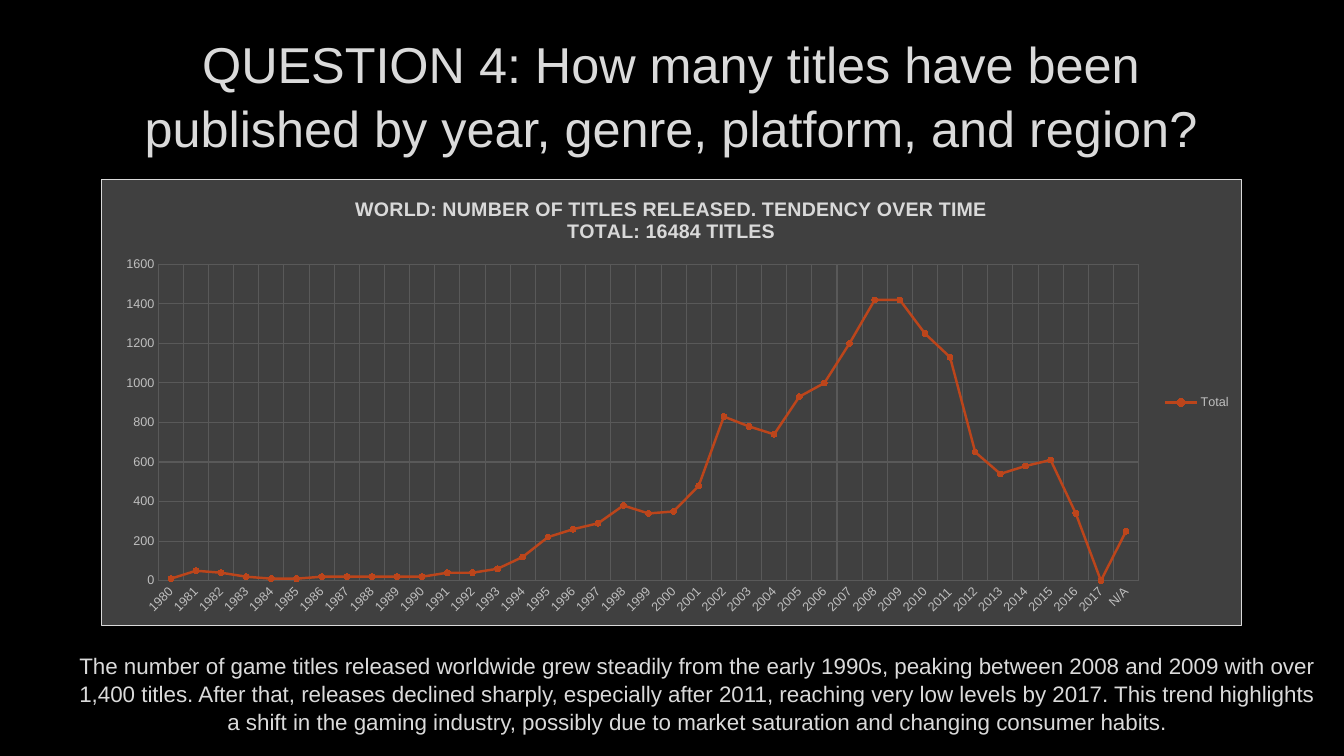
from lxml import etree
from pptx import Presentation
from pptx.chart.data import CategoryChartData
from pptx.dml.color import RGBColor
from pptx.enum.chart import (XL_CHART_TYPE, XL_LEGEND_POSITION,
                             XL_MARKER_STYLE, XL_TICK_MARK)
from pptx.enum.text import MSO_ANCHOR, MSO_AUTO_SIZE, PP_ALIGN
from pptx.oxml import parse_xml
from pptx.oxml.ns import nsdecls, qn
from pptx.util import Pt

COLORS = {"back": "000000", "text": "DADADA", "panel": "404040",
          "border": "D9D9D9", "grid": "595959", "label": "BFBFBF",
          "line": "BC451B"}
FONT = "Arial"

TITLE = ("QUESTION 4: How many titles have been published by year, genre, "
         "platform, and region?")
CHART_TITLE = ("WORLD: NUMBER OF TITLES RELEASED. TENDENCY OVER TIME\n"
               "TOTAL: 16484 TITLES")
SUMMARY = ("The number of game titles released worldwide grew steadily from the "
           "early 1990s, peaking between 2008 and 2009 with over 1,400 titles. "
           "After that, releases declined sharply, especially after 2011, "
           "reaching very low levels by 2017. This trend highlights a shift in "
           "the gaming industry, possibly due to market saturation and changing "
           "consumer habits.")
YEARS = [str(year) for year in range(1980, 2018)] + ["N/A"]
RELEASES = [10, 50, 40, 20, 10, 10, 20, 20, 20, 20,
            20, 40, 40, 60, 120, 220, 260, 290, 380, 340,
            350, 480, 830, 780, 740, 930, 1000, 1200, 1420, 1420,
            1250, 1130, 650, 540, 580, 610, 340, 0, 250]


def rgb(name):
    return RGBColor.from_string(COLORS[name])


class SlideBuilder:
    def __init__(self, prs):
        self.slide = prs.slides.add_slide(prs.slide_layouts[5])
        fill = self.slide.background.fill
        fill.solid()
        fill.fore_color.rgb = rgb("back")

    def style_font(self, font, size, color, bold=False):
        font.name, font.size, font.bold = FONT, Pt(size), bold
        font.color.rgb = rgb(color)

    def fill_text(self, sp, text, size, anchor):
        """Fill a shape with centred text that has a faint outline."""
        tf = sp.text_frame
        tf.text = text
        tf.word_wrap = True
        tf.auto_size = MSO_AUTO_SIZE.NONE
        tf.vertical_anchor = anchor
        p = tf.paragraphs[0]
        p.alignment = PP_ALIGN.CENTER
        p.line_spacing = 1.05
        r = p.runs[0]
        self.style_font(r.font, size, "text")
        r.font._element.insert(0, parse_xml(
            f'<a:ln {nsdecls("a")} w="9525"><a:solidFill>'
            f'<a:srgbClr val="{COLORS["panel"]}"><a:alpha val="10000"/>'
            '</a:srgbClr></a:solidFill></a:ln>'))

    def title(self, text, left, top, width, height):
        sp = self.slide.shapes.title
        sp.left, sp.top, sp.width, sp.height = map(Pt, (left, top, width, height))
        self.fill_text(sp, text, 36, MSO_ANCHOR.MIDDLE)

    def text(self, text, left, top, width, height):
        sp = self.slide.shapes.add_textbox(*map(Pt, (left, top, width, height)))
        self.fill_text(sp, text, 16, MSO_ANCHOR.TOP)

    def axis(self, axis):
        axis.major_tick_mark = axis.minor_tick_mark = XL_TICK_MARK.NONE
        axis.format.line.fill.background()
        axis.has_major_gridlines = True
        grid = axis.major_gridlines.format.line
        grid.width = Pt(0.75)
        grid.color.rgb = rgb("grid")
        self.style_font(axis.tick_labels.font, 9, "label")

    def panel(self, chart):
        """Give the chart area its fill and border."""
        chart._chartSpace.find(qn("c:chart")).addnext(parse_xml(
            f'<c:spPr {nsdecls("c", "a")}><a:solidFill>'
            f'<a:srgbClr val="{COLORS["panel"]}"/></a:solidFill>'
            f'<a:ln w="9525"><a:solidFill><a:srgbClr val="{COLORS["border"]}"/>'
            '</a:solidFill></a:ln></c:spPr>'))

    def plot_layout(self, chart, **box):
        """Place the inner plot area, in fractions of the chart."""
        area = chart._chartSpace.find(".//" + qn("c:plotArea"))
        for old in area.findall(qn("c:layout")):
            area.remove(old)
        layout = etree.Element(qn("c:layout"))
        manual = etree.SubElement(layout, qn("c:manualLayout"))
        settings = {"layoutTarget": "inner", "xMode": "edge", "yMode": "edge", **box}
        for tag, value in settings.items():
            etree.SubElement(manual, qn("c:" + tag)).set("val", str(value))
        area.insert(0, layout)

    def line_chart(self, title, cats, name, values, left, top, width, height):
        data = CategoryChartData()
        data.categories = cats
        data.add_series(name, values)
        chart = self.slide.shapes.add_chart(
            XL_CHART_TYPE.LINE_MARKERS,
            *map(Pt, (left, top, width, height)), data).chart
        self.style_font(chart.font, 10, "label")
        self.panel(chart)
        self.plot_layout(chart, x=0.05, y=0.19, w=0.86, h=0.71)

        chart.has_title = True
        chart.chart_title.include_in_layout = False
        tf = chart.chart_title.text_frame
        tf.text = title
        for p in tf.paragraphs:
            self.style_font(p.runs[0].font, 14, "border", bold=True)

        chart.has_legend = True
        chart.legend.position = XL_LEGEND_POSITION.RIGHT
        chart.legend.include_in_layout = False
        self.style_font(chart.legend.font, 9, "label")

        self.axis(chart.category_axis)
        self.axis(chart.value_axis)
        chart.value_axis.minimum_scale = 0
        chart.value_axis.maximum_scale = 1600
        chart.value_axis.major_unit = 200
        labels = chart.category_axis._element.find(qn("c:txPr"))
        labels.find(qn("a:bodyPr")).set("rot", "-2700000")

        chart.plots[0].vary_by_categories = False
        series = chart.plots[0].series[0]
        series.smooth = False
        series.format.line.width = Pt(1.75)
        series.format.line.color.rgb = rgb("line")
        marker = series.marker
        marker.style, marker.size = XL_MARKER_STYLE.CIRCLE, 4
        marker.format.fill.solid()
        marker.format.fill.fore_color.rgb = rgb("line")
        marker.format.line.color.rgb = rgb("line")


def main():
    prs = Presentation()
    prs.slide_width, prs.slide_height = Pt(960), Pt(540)
    s = SlideBuilder(prs)
    s.title(TITLE, 72, 29, 815, 76)
    s.line_chart(CHART_TITLE, YEARS, "Total", RELEASES, 72, 128, 815, 319)
    s.text(SUMMARY, 45, 461, 906, 65)
    prs.save("out.pptx")


if __name__ == "__main__":
    main()
